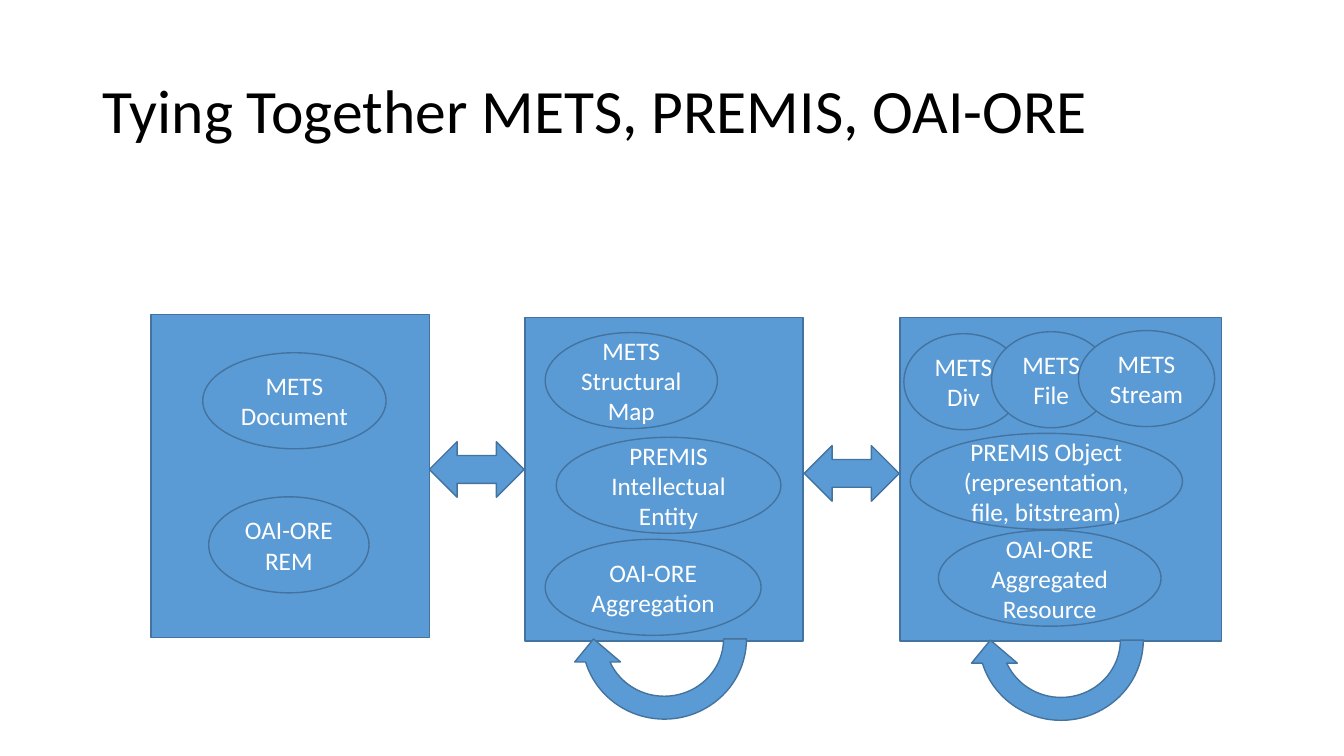
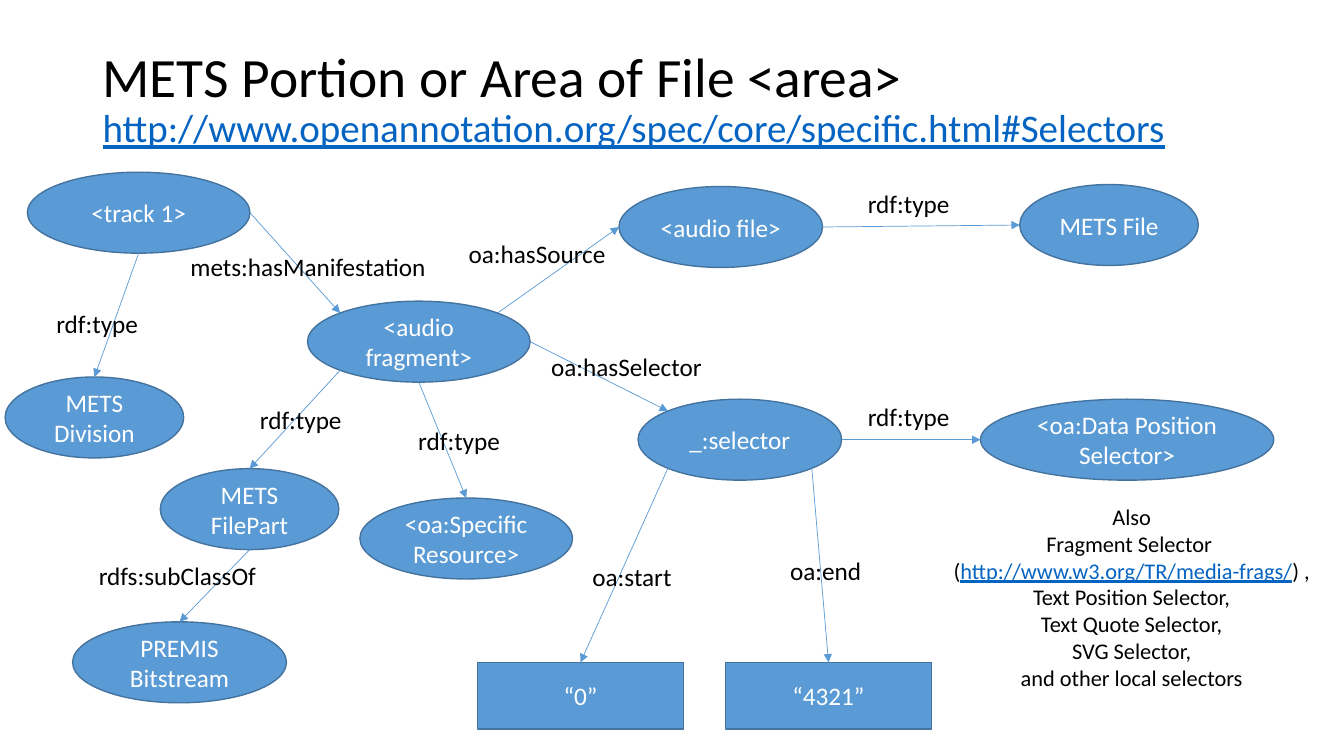
"""Build two slides on tying METS, PREMIS and OAI-ORE together."""
from math import cos, pi, sin

from lxml import etree
from pptx import Presentation
from pptx import util as u
from pptx.dml.color import RGBColor
from pptx.enum import shapes, text
from pptx.oxml import ns

FONT = "Calibri"
BLUE = RGBColor(0x5B, 0x9B, 0xD5)
EDGE = RGBColor(0x43, 0x73, 0x9E)
LINK = RGBColor(0x05, 0x63, 0xC1)
BLACK = RGBColor(0, 0, 0)
WHITE = RGBColor(0xFF, 0xFF, 0xFF)

RECT = shapes.MSO_SHAPE.RECTANGLE
OVAL = shapes.MSO_SHAPE.OVAL
SWAP = shapes.MSO_SHAPE.LEFT_RIGHT_ARROW
LOOP = shapes.MSO_SHAPE.CIRCULAR_ARROW

TOP, TOP_LEFT, LEFT, BOTTOM_LEFT, BOTTOM, BOTTOM_RIGHT, RIGHT, TOP_RIGHT = range(8)

PANELS = [(3.81, 7.92, 7.01), (13.23, 8, 7.01), (22.68, 8, 8.1)]
PANEL_H = 8.15
SWAPS = [(10.82, 11.13), (20.27, 11.23)]
LOOPS = [(24.38, 13.82), (14.38, 13.79)]
CONCEPT_H = 2.42
CONCEPTS = [
    ("OAI-ORE\nREM", 5.26, 12.52, 4.04),
    ("METS\nDocument", 5.11, 8.89, 4.62),
    ("OAI-ORE\nAggregation", 13.74, 13.59, 5.44),
    ("METS\nStructural Map", 13.74, 8.38, 4.34),
    ("PREMIS\nIntellectual\nEntity", 14.02, 11.02, 5.66),
    ("PREMIS Object (representation, file, bitstream)", 22.94, 10.92, 6.86),
    ("OAI-ORE\nAggregated\nResource", 23.65, 13.36, 5.61),
    ("METS\nDiv", 22.78, 8.41, 3),
    ("METS\nFile", 24.99, 8.36, 3),
    ("METS\nStream", 27.18, 8.33, 3.43),
]

NODE_H = 2.04
NODES = {
    "fragment": ("<audio fragment>", 7.75, 7.59, 5.61),
    "part": ("METS FilePart", 4.04, 11.81, 4.5),
    "bitstream": ("PREMIS Bitstream", 1.83, 15.67, 5.39),
    "resource": ("<oa:SpecificResource>", 9.07, 12.55, 5.36),
    "audio": ("<audio file>", 15.6, 4.7, 5.13),
    "selector": ("_:selector", 16.08, 10.06, 5.13),
    "position": ("<oa:Data Position Selector>", 24.71, 10.06, 7.39),
    "track": ("<track 1>", 0.69, 4.34, 5.61),
    "division": ("METS Division", 0.13, 9.5, 4.5),
    "file": ("METS File", 25.7, 4.65, 4.5),
}
LITERALS = {"end": ("“4321”", 18.29), "start": ("“0”", 12.04)}
RELATIONS = [
    ("fragment", BOTTOM_LEFT, "part", TOP, "rdf:type", 6.3, 10.06, 2.59),
    ("part", BOTTOM, "bitstream", TOP, "rdfs:subClassOf", 2.24, 14, 4.52),
    ("fragment", BOTTOM, "resource", TOP, "rdf:type", 10.29, 10.59, 2.59),
    ("fragment", TOP_RIGHT, "audio", LEFT, "oa:hasSource", 11.56, 5.89, 4.01),
    ("fragment", RIGHT, "selector", TOP_LEFT, "oa:hasSelector", 13.64, 8.74, 4.34),
    ("selector", RIGHT, "position", LEFT, "rdf:type", 21.62, 9.98, 2.59),
    ("track", RIGHT, "fragment", TOP_LEFT, "mets:hasManifestation", 4.55, 6.22, 6.5),
    ("track", BOTTOM, "division", TOP, "rdf:type", 1.17, 7.65, 2.59),
    ("selector", BOTTOM_RIGHT, "end", TOP, "oa:end", 19.66, 13.87, 2.34),
    ("selector", BOTTOM_LEFT, "start", TOP, "oa:start", 14.68, 14.02, 2.51),
    ("audio", RIGHT, "file", LEFT, "rdf:type", 21.62, 4.62, 2.59),
]
NOTE = [
    ["Also"],
    ["Fragment Selector "],
    ["(", "http://www.w3.org/TR/media-frags/", ") ,"],
    ["Text Position Selector,"],
    ["Text Quote Selector,"],
    ["SVG Selector,"],
    ["and other local selectors"],
]


def add_run(p, words, size, color=BLACK):
    """Add a run, underlined in the link colour if it is a web address."""
    r = p.add_run()
    r.text = words
    r.font.name, r.font.size = FONT, u.Pt(size)
    is_link = words.startswith("http")
    r.font.color.rgb = LINK if is_link else color
    if is_link:
        r.font.underline = True


def add_lines(tf, lines, size, color=BLACK, align=text.PP_ALIGN.CENTER):
    """Write one paragraph for each list of runs."""
    for i, runs in enumerate(lines):
        p = tf.add_paragraph() if i else tf.paragraphs[0]
        p.alignment = align
        for words in runs:
            add_run(p, words, size, color)


def add_titled_slide(prs, height, lines):
    """Add a title-only slide; lines are (words, size) pairs."""
    s = prs.slides.add_slide(prs.slide_layouts[5])
    sp = s.shapes.title
    sp.left, sp.top, sp.width, sp.height = map(u.Cm, (2.33, 1.02, 29.21, height))
    tf = sp.text_frame
    tf.auto_size = text.MSO_AUTO_SIZE.NONE
    tf.vertical_anchor = text.MSO_ANCHOR.MIDDLE
    p = tf.paragraphs[0]
    p.alignment, p.line_spacing = text.PP_ALIGN.LEFT, 0.9
    for i, (words, size) in enumerate(lines):
        if i:
            p.add_line_break()
        add_run(p, words, size)
    return s


def add_figure(s, kind, x, y, w, h, words=""):
    """Add a blue preset shape with centred white text."""
    sp = s.shapes.add_shape(kind, *map(u.Cm, (x, y, w, h)))
    sp.shadow.inherit = False
    sp.fill.solid()
    sp.fill.fore_color.rgb = BLUE
    sp.line.color.rgb, sp.line.width = EDGE, u.Pt(1)
    if words:
        tf = sp.text_frame
        tf.word_wrap = True
        tf.vertical_anchor = text.MSO_ANCHOR.MIDDLE
        add_lines(tf, [[line] for line in words.split("\n")], 18, WHITE)
    return sp


def add_label(s, x, y, w, h, lines, size, align=text.PP_ALIGN.LEFT):
    """Add an unwrapped text box."""
    tf = s.shapes.add_textbox(*map(u.Cm, (x, y, w, h))).text_frame
    tf.word_wrap = False
    tf.auto_size = text.MSO_AUTO_SIZE.SHAPE_TO_FIT_TEXT
    add_lines(tf, lines, size, align=align)


def site_point(sp, site):
    """Locate an oval's connection site, counted anticlockwise from the top."""
    angle = site * pi / 4
    x = sp.left + sp.width / 2 * (1 - sin(angle))
    y = sp.top + sp.height / 2 * (1 - cos(angle))
    return round(x), round(y)


def add_arrow(s, start, start_site, end, end_site):
    """Join two shapes with an attached arrow."""
    cxn = s.shapes.add_connector(
        shapes.MSO_CONNECTOR.STRAIGHT,
        *site_point(start, start_site), *site_point(end, end_site))
    cxn.line.color.rgb, cxn.line.width = BLUE, u.Pt(0.5)
    sp_pr = cxn.element.spPr
    etree.SubElement(sp_pr.find(ns.qn("a:ln")), ns.qn("a:tailEnd"), type="triangle")
    etree.SubElement(sp_pr, ns.qn("a:effectLst"))
    props = cxn.element.find(".//" + ns.qn("p:cNvCxnSpPr"))
    for tag, sp, site in (("a:stCxn", start, start_site), ("a:endCxn", end, end_site)):
        etree.SubElement(props, ns.qn(tag), id=str(sp.shape_id), idx=str(site))


def build_overview(prs):
    """Show the three groups of matching concepts."""
    s = add_titled_slide(prs, 3.68, [("Tying Together METS, PREMIS, OAI-ORE", 44)])
    for x, y, w in PANELS:
        add_figure(s, RECT, x, y, w, PANEL_H)
    for x, y in SWAPS:
        add_figure(s, SWAP, x, y, 2.39, 1.4)
    for x, y in LOOPS:
        add_figure(s, LOOP, x, y, 4.72, 4.62).rotation = 180
    for words, x, y, w in CONCEPTS:
        add_figure(s, OVAL, x, y, w, CONCEPT_H, words)


def build_graph(prs):
    """Show the graph that describes an area of a file."""
    s = add_titled_slide(prs, 3.02, [
        ("METS Portion or Area of File <area>", 39.6),
        ("http://www.openannotation.org/spec/core/specific.html#Selectors", 27.9)])
    nodes = {key: add_figure(s, OVAL, x, y, w, NODE_H, words)
             for key, (words, x, y, w) in NODES.items()}
    for key, (words, x) in LITERALS.items():
        nodes[key] = add_figure(s, RECT, x, 16.69, 5.18, 1.68, words)
    for start, start_site, end, end_site, words, x, y, w in RELATIONS:
        add_arrow(s, nodes[start], start_site, nodes[end], end_site)
        add_label(s, x, y, w, 1.02, [[words]], 18)
    add_label(s, 23.72, 12.55, 9.6, 5.13, NOTE, 16, text.PP_ALIGN.CENTER)


def main():
    """Build and save the presentation."""
    prs = Presentation()
    prs.slide_width, prs.slide_height = u.Cm(33.87), u.Cm(19.05)
    build_overview(prs)
    build_graph(prs)
    prs.save("out.pptx")


if __name__ == "__main__":
    main()
